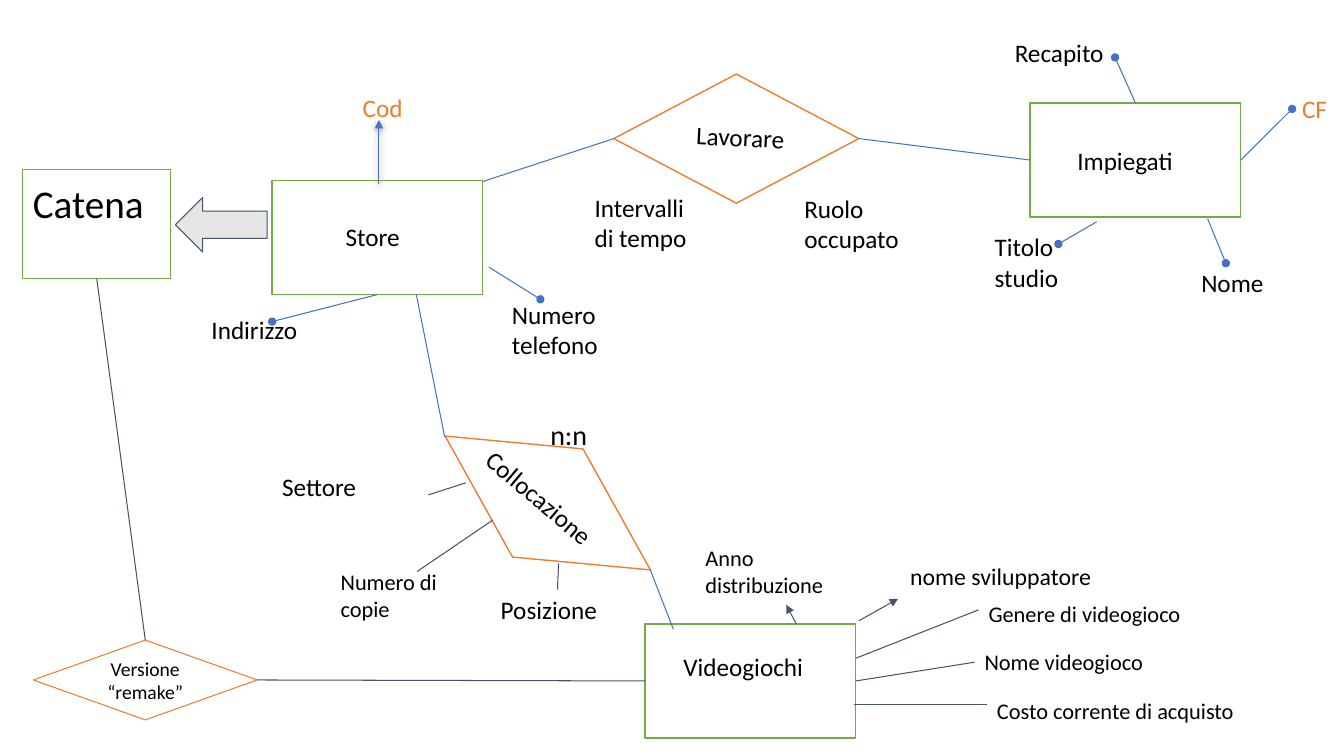
from lxml.etree import SubElement
from pptx import Presentation
from pptx.dml.color import RGBColor
from pptx.enum.shapes import MSO_CONNECTOR, MSO_SHAPE
from pptx.enum.text import MSO_ANCHOR, PP_ALIGN
from pptx.oxml.ns import qn
from pptx.util import Pt

BLACK = RGBColor(0x00, 0x00, 0x00)
WHITE = RGBColor(0xFF, 0xFF, 0xFF)
GREEN = RGBColor(0x70, 0xAD, 0x47)
ORANGE = RGBColor(0xED, 0x7D, 0x31)
BLUE = RGBColor(0x44, 0x72, 0xC4)
SLATE = RGBColor(0x44, 0x54, 0x6A)
GRAY = RGBColor(0xE7, 0xE6, 0xE6)

TOP, LEFT, BOTTOM, RIGHT = range(4)
ENTITY_SIZE = (150.5, 81.4)
RELATION_SIZE = (175, 92.2)


def write_text(shape, text, size, color=BLACK, inset=7.2,
               align=PP_ALIGN.LEFT, anchor=MSO_ANCHOR.TOP):
    """Put wrapped text in a shape and format it."""
    frame = shape.text_frame
    frame.text = text
    frame.word_wrap = True
    frame.vertical_anchor = anchor
    frame.margin_left = frame.margin_right = Pt(7.2)
    frame.margin_top = frame.margin_bottom = Pt(inset)
    paragraph = frame.paragraphs[0]
    paragraph.alignment = align
    font = paragraph.runs[0].font
    font.name, font.size = "Calibri", Pt(size)
    font.color.rgb = color


def add_label(slide, text, left, top, width, height, size=18,
              color=BLACK, inset=3.6, rotation=0):
    """Add a free-standing label."""
    label = slide.shapes.add_textbox(Pt(left), Pt(top), Pt(width), Pt(height))
    label.rotation = rotation
    write_text(label, text, size, color, inset)


def add_outline(slide, kind, left, top, width, height, color,
                line_width=1, fill=None):
    """Add an outlined preset shape, filled only when a colour is given."""
    shape = slide.shapes.add_shape(kind, Pt(left), Pt(top), Pt(width), Pt(height))
    shape.shadow.inherit = False
    if fill is None:
        shape.fill.background()
    else:
        shape.fill.solid()
        shape.fill.fore_color.rgb = fill
    shape.line.color.rgb = color
    shape.line.width = Pt(line_width)
    return shape


def add_entity(slide, left, top):
    """Add the rectangle of an entity."""
    return add_outline(slide, MSO_SHAPE.RECTANGLE, left, top, *ENTITY_SIZE, GREEN)


def add_relation(slide, left, top):
    """Add the rhombus of a relation."""
    return add_outline(slide, MSO_SHAPE.FLOWCHART_DECISION, left, top,
                       *RELATION_SIZE, ORANGE, fill=WHITE)


def add_link(slide, start, end, color, tail=None, begin=None, finish=None):
    """Add a straight line, with an optional arrowhead and joined ends."""
    connector = slide.shapes.add_connector(
        MSO_CONNECTOR.STRAIGHT, *(Pt(value) for value in (*start, *end)))
    connector.line.color.rgb = color
    connector.line.width = Pt(0.75)
    if begin:
        connector.begin_connect(*begin)
    if finish:
        connector.end_connect(*finish)
    if tail:
        SubElement(connector.line._get_or_add_ln(), qn("a:tailEnd"), type=tail)
    return SubElement(connector._element.spPr, qn("a:effectLst"))


def add_soft_shadow(effects):
    """Add a small half-transparent shadow below a line."""
    shadow = SubElement(effects, qn("a:outerShdw"), blurRad=str(Pt(4.5)),
                        dist=str(Pt(1.5)), dir="5400000")
    color = SubElement(shadow, qn("a:srgbClr"), val=str(BLACK))
    SubElement(color, qn("a:alpha"), val="50000")


def main():
    """Build the entity-relation diagram of the store chain."""
    presentation = Presentation()
    presentation.slide_width, presentation.slide_height = Pt(960), Pt(540)
    slide = presentation.slides.add_slide(presentation.slide_layouts[6])

    store = add_entity(slide, 194.4, 129)
    placement = add_relation(slide, 303.8, 313.2)
    placement.rotation = 33.1
    work = add_relation(slide, 438.5, 52.9)
    games = add_entity(slide, 460.8, 445.7)
    employees = add_entity(slide, 735.8, 73.6)
    chain = add_outline(slide, MSO_SHAPE.RECTANGLE, 16.4, 121, 105.4, 78, GREEN, 0.75)
    write_text(chain, "Catena", 28)
    add_outline(slide, MSO_SHAPE.LEFT_ARROW, 125.3, 141.1, 65.5, 38.9, SLATE, 0.75, GRAY)
    remake = add_outline(slide, MSO_SHAPE.DIAMOND, 23.8, 457.2, 160, 57, ORANGE, 0.75, WHITE)
    write_text(remake, "Versione “remake”", 14,
               align=PP_ALIGN.CENTER, anchor=MSO_ANCHOR.MIDDLE)

    links = [
        ((349.2, 190.8), (386, 213.8), BLUE, "oval"),
        ((297.4, 210.4), (317.6, 312), BLUE),
        ((464.4, 406.8), (481, 449.5), BLUE),
        ((345, 129.6), (438.5, 99), BLUE, None, None, (work, LEFT)),
        ((613.5, 99), (735.8, 115), BLUE, None, (work, RIGHT), (employees, LEFT)),
        ((811, 73.6), (796.5, 41), BLUE, "oval", (employees, TOP)),
        ((886.3, 114.3), (923, 77.8), BLUE, "oval", (employees, RIGHT)),
        ((862.6, 156.2), (875.6, 188), BLUE, "oval"),
        ((783.4, 158.4), (756, 174.3), BLUE, "oval"),
        ((269.6, 210.4), (194.4, 229.7), BLUE, "oval", (store, BOTTOM)),
        ((613.4, 443.5), (641.5, 427.7), SLATE, "triangle"),
        ((568.8, 445.7), (561.6, 432), SLATE, "triangle"),
        ((611.3, 470.2), (699, 435.6), SLATE),
        ((611.3, 486.4), (696.2, 473), SLATE, None, (games, RIGHT)),
        ((610, 503.3), (705, 503.3), SLATE),
        ((306, 353.5), (332.6, 344.9), SLATE),
        ((398.2, 421.2), (399, 402.5), SLATE),
        ((352, 371.5), (298, 408.2), SLATE),
        ((69, 199), (103.8, 457.2), SLATE, None, (chain, BOTTOM), (remake, TOP)),
        ((460.8, 486.4), (183.8, 485.7), SLATE, None, (games, LEFT), (remake, RIGHT)),
    ]
    for link in links:
        add_link(slide, *link)
    add_soft_shadow(add_link(slide, (270.7, 131.8), (270.7, 85.7), BLUE, "triangle"))

    labels = [
        ("Store", 239.8, 154.8, 60, 29),
        ("Videogiochi", 481, 461.5, 109.4, 29),
        ("Impiegati", 762.5, 100, 88.6, 29),
        ("Indirizzo", 144, 221, 79.2, 29),
        ("Numero telefono", 358.6, 210.2, 79.2, 51),
        ("Titolo studio", 703.4, 162, 79.2, 51),
        ("Nome", 851, 187.2, 79.2, 29),
        ("Recapito", 717.8, 23, 79.2, 29),
        ("Ruolo occupato", 567.4, 134.6, 95, 51),
        ("Intervalli di tempo", 417.6, 133.9, 95, 51),
        ("Settore", 194.4, 333.4, 95, 29),
        ("Posizione", 350.6, 421.2, 95, 29),
        ("Cod", 252, 62.6, 49.7, 29, 18, ORANGE),
        ("CF", 923, 63.4, 37, 29, 18, ORANGE),
        ("Collocazione", 331.2, 343.4, 113.8, 29, 18, BLACK, 3.6, 40.3),
        ("Lavorare", 490.3, 84.2, 113.8, 29, 18, BLACK, 3.6, 2.8),
        ("nome sviluppatore", 643, 393.8, 310, 35.3, 17, BLACK, 7.2),
        ("Anno distribuzione", 496.8, 381.6, 128.9, 29, 16, BLACK, 7.2),
        ("Genere di videogioco", 699, 421.2, 166.3, 29, 16, BLACK, 7.2),
        ("Nome videogioco", 696.2, 455.8, 166.3, 35.3, 16, BLACK, 7.2),
        ("Costo corrente di acquisto", 705, 491, 213, 23, 16, BLACK, 7.2),
        ("Numero di copie", 236.2, 398.9, 95, 29, 16, BLACK, 7.2),
        ("n:n", 386, 290.9, 79.2, 39, 20, BLACK, 7.2),
    ]
    for label in labels:
        add_label(slide, *label)

    presentation.save("out.pptx")


if __name__ == "__main__":
    main()
